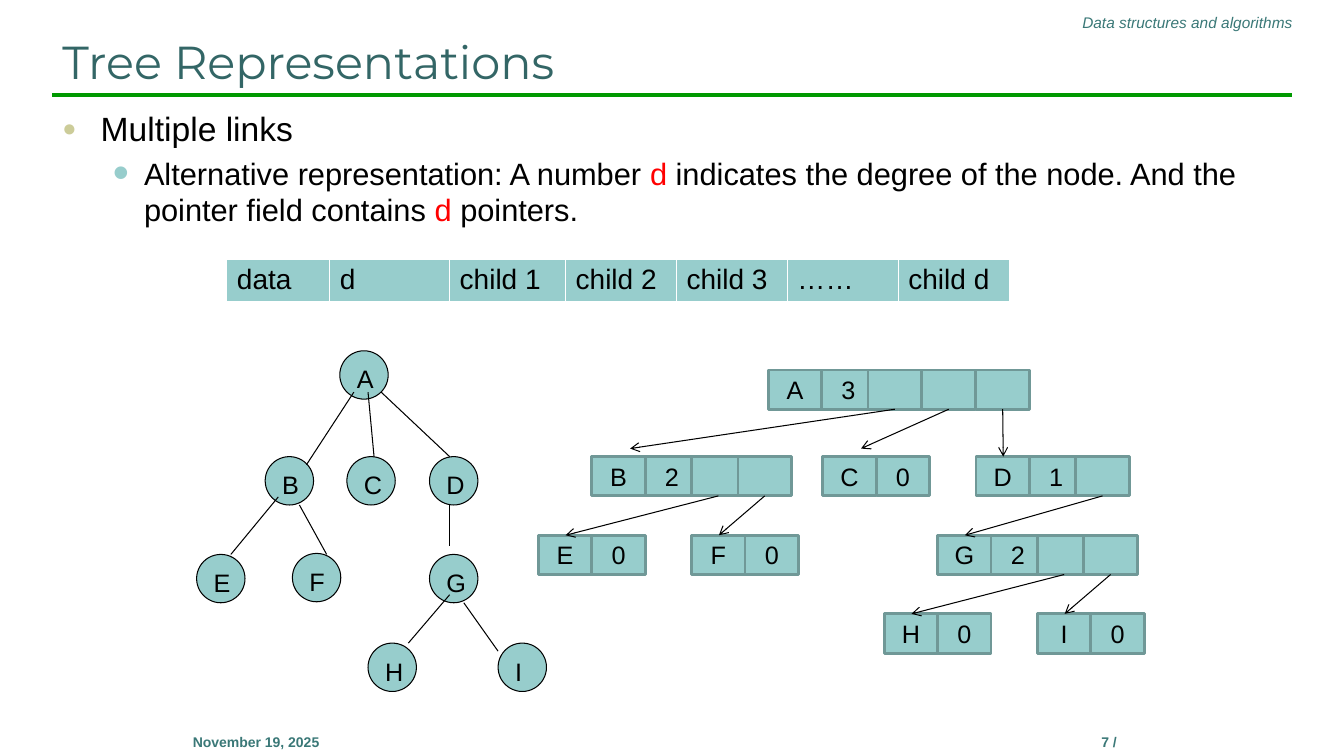
from dataclasses import dataclass
from itertools import accumulate

from lxml.etree import SubElement
from pptx import Presentation
from pptx.dml.color import RGBColor
from pptx.enum.shapes import MSO_CONNECTOR as Connector, MSO_SHAPE as Preset
from pptx.enum.text import MSO_ANCHOR as Anchor, PP_ALIGN as Align
from pptx.oxml.ns import qn
from pptx.util import Inches, Pt

BLACK, RED, WHITE = "000000", "FF0000", "FFFFFF"
AQUA, AQUA_EDGE, TEAL = "97CDCC", "709897", "3A7877"
CIRCLE = 0.48
CELL_WIDTH, CELL_HEIGHT = 0.53, 0.39
LINK_OFFSET = 0.99
HEADER_CELLS = {"data": 1.02, "d": 1.19, "child 1": 1.15, "child 2": 1.1,
                "child 3": 1.1, "……": 1.1, "child d": 1.1}


@dataclass(frozen=True)
class TreeNode:
    name: str
    left: float
    top: float


@dataclass(frozen=True)
class Edge:
    x1: float
    y1: float
    x2: float
    y2: float


@dataclass(frozen=True)
class Record:
    """A node drawn as a data cell, a degree cell and one cell per child."""
    name: str
    left: float
    top: float
    children: str = ""
    link_step: float = 0.46
    entry_x: float = 0.27
    entry_y: float = 0


TREE_NODES = [
    TreeNode("A", 3.37, 3.48),
    TreeNode("B", 2.63, 4.53), TreeNode("C", 3.44, 4.53), TreeNode("D", 4.26, 4.53),
    TreeNode("E", 1.95, 5.5), TreeNode("F", 2.9, 5.49), TreeNode("G", 4.26, 5.5),
    TreeNode("H", 3.65, 6.38), TreeNode("I", 4.94, 6.38),
]
TREE_EDGES = [
    Edge(3.51, 3.89, 3.04, 4.61), Edge(3.65, 3.89, 3.71, 4.53),
    Edge(3.78, 3.89, 4.46, 4.53), Edge(2.76, 4.93, 2.29, 5.5),
    Edge(2.97, 5.01, 3.24, 5.5), Edge(4.46, 5.01, 4.46, 5.42),
    Edge(4.46, 5.9, 4.05, 6.38), Edge(4.6, 5.98, 4.94, 6.46),
]
RECORDS = [
    Record("A", 7.62, 3.67, "BCD", link_step=0.535),
    Record("B", 5.87, 4.53, "EF", entry_x=0.38, entry_y=-0.08),
    Record("C", 8.16, 4.53, entry_x=0.38, entry_y=-0.08),
    Record("D", 9.68, 4.53, "G"),
    Record("E", 5.34, 5.31), Record("F", 6.86, 5.31), Record("G", 9.3, 5.31, "HI"),
    Record("H", 8.77, 6.09), Record("I", 10.29, 6.09),
]


def color(value: str) -> RGBColor:
    return RGBColor.from_string(value)


def set_font(font, size: float, value: str = BLACK, name: str = "Arial",
             bold: bool = False, italic: bool = False) -> None:
    font.size, font.name, font.bold, font.italic = Pt(size), name, bold, italic
    font.color.rgb = color(value)


def add_text(slide, text: str, left: float, top: float, width: float, height: float,
             size: float, align: Align = Align.LEFT, anchor: Anchor = Anchor.TOP, **font):
    box = slide.shapes.add_textbox(Inches(left), Inches(top), Inches(width), Inches(height))
    frame = box.text_frame
    frame.word_wrap, frame.vertical_anchor = True, anchor
    paragraph = frame.paragraphs[0]
    paragraph.text, paragraph.alignment = text, align
    set_font(paragraph.font, size, **font)
    return frame


def add_line(slide, edge: Edge, value: str = BLACK, width: float = 0.75,
             arrow: bool = False) -> None:
    line = slide.shapes.add_connector(Connector.STRAIGHT, Inches(edge.x1), Inches(edge.y1),
                                      Inches(edge.x2), Inches(edge.y2))
    line.line.color.rgb, line.line.width = color(value), Pt(width)
    properties = line._element.spPr
    if arrow:
        SubElement(properties.find(qn("a:ln")), qn("a:tailEnd"), type="arrow")
    SubElement(properties, qn("a:effectLst"))


def add_filled_shape(slide, preset: Preset, left: float, top: float, width: float,
                     height: float, edge_color: str, edge_width: float):
    shape = slide.shapes.add_shape(preset, Inches(left), Inches(top),
                                   Inches(width), Inches(height))
    shape.shadow.inherit = False
    shape.fill.solid()
    shape.fill.fore_color.rgb = color(AQUA)
    shape.line.color.rgb, shape.line.width = color(edge_color), Pt(edge_width)
    return shape


def set_bullet(paragraph, char: str, value: str, percent: int,
               margin: float, indent: float) -> None:
    properties = paragraph._p.get_or_add_pPr()
    properties.set("marL", str(Inches(margin)))
    properties.set("indent", str(Inches(indent)))
    SubElement(SubElement(properties, qn("a:buClr")), qn("a:srgbClr"), val=value)
    SubElement(properties, qn("a:buSzPct"), val=str(percent * 1000))
    SubElement(properties, qn("a:buFont"), typeface="Arial")
    SubElement(properties, qn("a:buChar"), char=char)


def add_body(slide) -> None:
    box = slide.shapes.add_textbox(Inches(0.52), Inches(1.02), Inches(12.29), Inches(6.09))
    frame = box.text_frame
    frame.word_wrap = True
    heading = frame.paragraphs[0]
    heading.text = "Multiple links"
    set_bullet(heading, "●", "CCCC99", 70, 0.38, -0.38)
    set_font(heading.font, 24)

    detail = frame.add_paragraph()
    detail.level = 1
    set_bullet(detail, "•", AQUA, 150, 0.81, -0.31)
    detail.space_before = Pt(4.4)
    set_font(detail.font, 22)
    for text in ("Alternative representation: A number ", "d",
                 " indicates the degree of the node. And the pointer field contains ",
                 "d", " pointers."):
        run = detail.add_run()
        run.text = text
        if text == "d":
            run.font.color.rgb = color(RED)


def add_header_table(slide) -> None:
    frame = slide.shapes.add_table(1, len(HEADER_CELLS), Inches(2.25), Inches(2.57),
                                   Inches(sum(HEADER_CELLS.values())), Inches(0.43))
    table = frame.table
    for column, (text, width) in enumerate(HEADER_CELLS.items()):
        table.columns[column].width = Inches(width)
        cell = table.cell(0, column)
        cell.text = text
        set_font(cell.text_frame.paragraphs[0].font, 20)
        properties = cell._tc.get_or_add_tcPr()
        for side, points in (("L", 1), ("R", 1), ("T", 1), ("B", 3)):
            border = SubElement(properties, qn(f"a:ln{side}"), w=str(Pt(points)))
            SubElement(SubElement(border, qn("a:solidFill")), qn("a:srgbClr"), val=WHITE)
        cell.fill.solid()
        cell.fill.fore_color.rgb = color(AQUA)


def add_tree(slide) -> None:
    for node in TREE_NODES:
        add_filled_shape(slide, Preset.OVAL, node.left, node.top, CIRCLE, CIRCLE, BLACK, 0.75)
        add_text(slide, node.name, node.left + 0.07, node.top + 0.08, 0.41, 0.41, 18)
    for edge in TREE_EDGES:
        add_line(slide, edge)


def link_lefts(record: Record) -> list[float]:
    steps = [record.link_step] * (len(record.children) - 1)
    return list(accumulate(steps, initial=record.left + LINK_OFFSET)) if record.children else []


def add_records(slide) -> None:
    for record in RECORDS:
        lefts = [record.left, record.left + CELL_WIDTH, *link_lefts(record)]
        texts = [record.name, str(len(record.children))] + [""] * len(record.children)
        for left, text in zip(lefts, texts):
            shape = add_filled_shape(slide, Preset.RECTANGLE, left, record.top,
                                     CELL_WIDTH, CELL_HEIGHT, AQUA_EDGE, 2)
            if text:
                paragraph = shape.text_frame.paragraphs[0]
                paragraph.text, paragraph.alignment = text, Align.CENTER
                set_font(paragraph.font, 18)

    by_name = {record.name: record for record in RECORDS}
    for record in RECORDS:
        for left, name in zip(link_lefts(record), record.children):
            child = by_name[name]
            add_line(slide, Edge(left + CELL_WIDTH / 2, record.top + CELL_HEIGHT,
                                 child.left + child.entry_x, child.top + child.entry_y),
                     arrow=True)


def main() -> None:
    presentation = Presentation()
    presentation.slide_width, presentation.slide_height = Inches(13.33), Inches(7.5)
    slide = presentation.slides.add_slide(presentation.slide_layouts[6])
    add_line(slide, Edge(0.52, 0.94, 12.81, 0.94), "009900", 3)
    add_text(slide, "Data structures and algorithms", 5.63, 0.08, 7.29, 0.29, 11,
             Align.RIGHT, value=TEAL, italic=True)
    for text, left in (("7 /", 9.5), ("November 19, 2025", 1.04)):
        add_text(slide, text, left, 7.23, 3, 0.5, 10, Align.CENTER, value=TEAL, bold=True)
    add_text(slide, "Tree Representations", 0.52, 0.23, 12.29, 0.7, 33,
             anchor=Anchor.BOTTOM, value="336666", name="Montserrat")
    add_body(slide)
    add_tree(slide)
    add_header_table(slide)
    add_records(slide)
    presentation.save("out.pptx")


if __name__ == "__main__":
    main()
